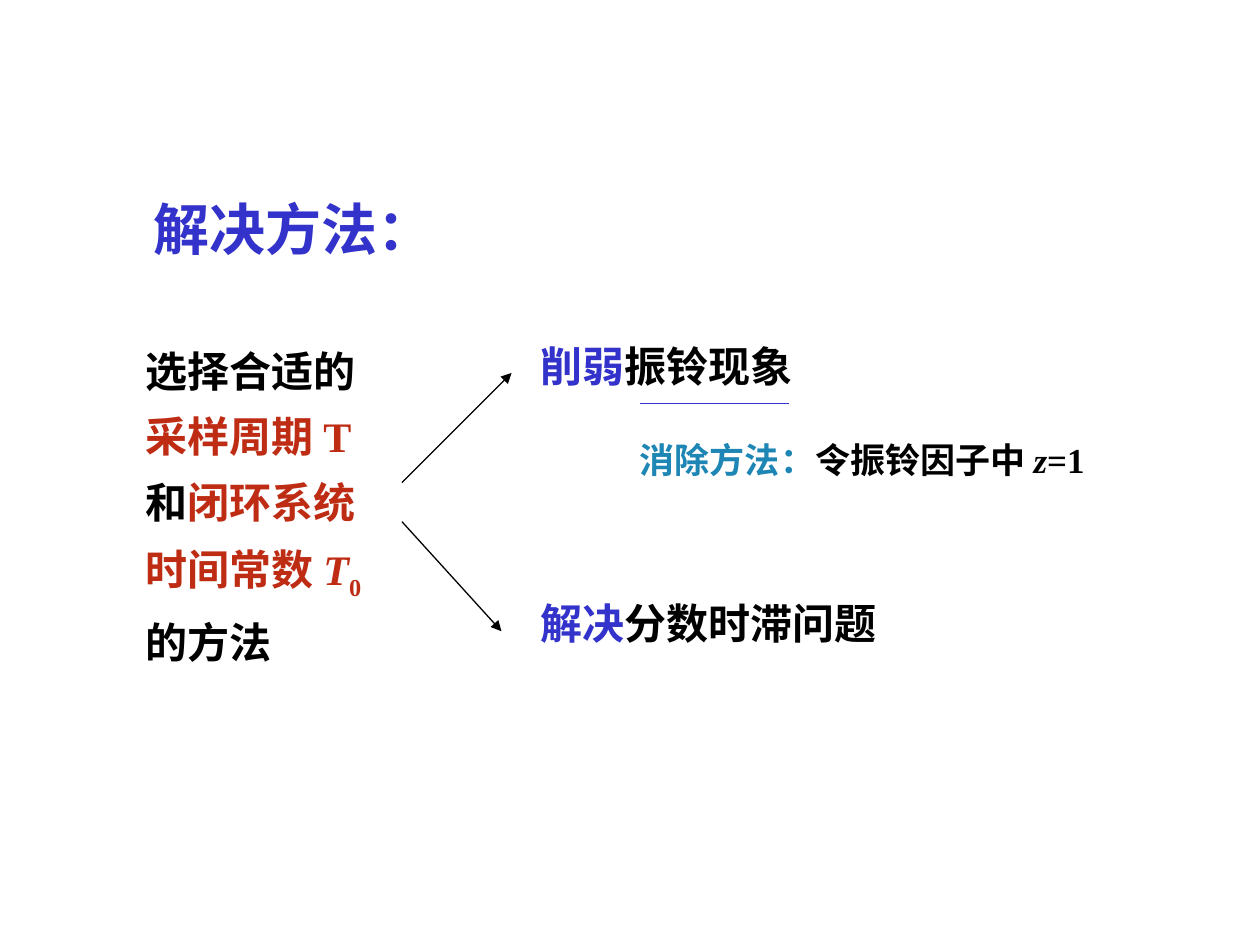
import dataclasses
import typing

import lxml.etree
import pptx
import pptx.dml.color
import pptx.enum.shapes
import pptx.enum.text
import pptx.oxml.ns
import pptx.util

COLS, ROWS = 100, 75
CELL = pptx.util.Inches(0.1)
FACE = "Times New Roman"
HUES = {"ink": "000000", "blue": "3333CC", "red": "BE2C14", "teal": "1E86B4"}
FRAME = {
    "word_wrap": True,
    "auto_size": pptx.enum.text.MSO_AUTO_SIZE.SHAPE_TO_FIT_TEXT,
    "vertical_anchor": pptx.enum.text.MSO_ANCHOR.TOP,
}


class Run(typing.NamedTuple):
    text: str
    hue: str = "ink"
    italic: bool = False
    base: int = 0


@dataclasses.dataclass
class Block:
    """Text with its box in grid columns and rows."""
    box: tuple[float, float, float, float]
    size: int
    runs: list[Run]
    lead: float = 1.0


class Line(typing.NamedTuple):
    start: tuple[float, float]
    end: tuple[float, float]
    hue: str = "ink"
    arrow: bool = True


TITLE = Block((11.2, 14.9, 47.5, 6.4), 32, [Run("解决方法：", "blue")])
BLOCKS = [
    Block((10.6, 25.7, 20.5, 27.7), 24, [
        Run("选择合适的"),
        Run("采样周期 T ", "red"),
        Run("和"),
        Run("闭环系统时间常数 ", "red"),
        Run("T", "red", italic=True),
        Run("0", "red", base=-25),
        Run("的方法"),
    ], lead=1.3),
    Block((41.9, 26.5, 30.9, 5), 24, [Run("削弱", "blue"), Run("振铃现象")]),
    Block((41.9, 46.9, 38.8, 5), 24, [Run("解决", "blue"), Run("分数时滞问题")]),
    Block((49.8, 34.3, 46.7, 4.4), 20, [
        Run("消除方法：", "teal"),
        Run("令振铃因子中 "),
        Run("z", italic=True),
        Run("=1"),
    ]),
]
LINES = [
    Line((31.9, 38.3), (40.6, 29.6)),
    Line((31.9, 41.4), (39.8, 50.1)),
    Line((50.8, 32), (62.6, 32), "blue", arrow=False),
]


def grid(*spans: float) -> list[int]:
    return [round(span * CELL) for span in spans]


def apply(target: typing.Any, values: dict) -> None:
    for name, value in values.items():
        setattr(target, name, value)


def color(hue: str) -> pptx.dml.color.RGBColor:
    return pptx.dml.color.RGBColor.from_string(HUES[hue])


def write(shape: typing.Any, block: Block) -> None:
    apply(shape, dict(zip(("left", "top", "width", "height"), grid(*block.box))))
    apply(shape.text_frame, FRAME)
    para = shape.text_frame.paragraphs[0]
    apply(para, {"alignment": pptx.enum.text.PP_ALIGN.LEFT, "line_spacing": block.lead})
    for part in block.runs:
        run = para.add_run()
        run.text = part.text
        apply(run.font, {"name": FACE, "size": pptx.util.Pt(block.size),
                         "bold": True, "italic": part.italic})
        run.font.color.rgb = color(part.hue)
        if part.base:
            run._r.get_or_add_rPr().set("baseline", str(part.base * 1000))


def draw(slide: typing.Any, line: Line) -> None:
    link = slide.shapes.add_connector(
        pptx.enum.shapes.MSO_CONNECTOR.STRAIGHT, *grid(*line.start, *line.end))
    link.line.width = pptx.util.Pt(0.75)
    link.line.color.rgb = color(line.hue)
    props = link._element.spPr
    if line.arrow:
        lxml.etree.SubElement(props.find(pptx.oxml.ns.qn("a:ln")),
                              pptx.oxml.ns.qn("a:tailEnd"), type="triangle")
    lxml.etree.SubElement(props, pptx.oxml.ns.qn("a:effectLst"))


def main() -> None:
    deck = pptx.Presentation()
    apply(deck, {"slide_width": COLS * CELL, "slide_height": ROWS * CELL})
    slide = deck.slides.add_slide(deck.slide_layouts.get_by_name("Title Only"))
    write(slide.shapes.title, TITLE)
    for block in BLOCKS:
        write(slide.shapes.add_textbox(*grid(*block.box)), block)
    for line in LINES:
        draw(slide, line)
    deck.save("out.pptx")


if __name__ == "__main__":
    main()
